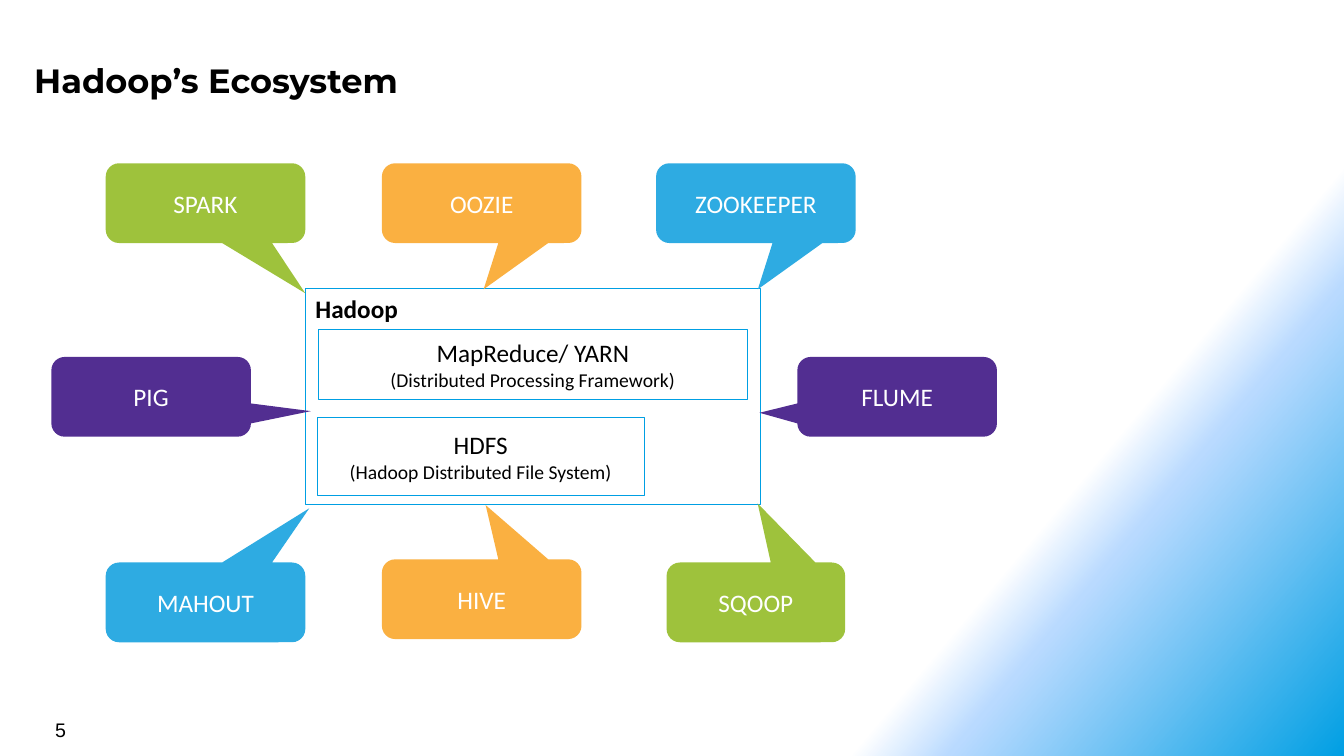
from lxml import etree
from pptx import Presentation
from pptx.dml.color import RGBColor
from pptx.enum import shapes, text
from pptx.oxml import ns
from pptx.util import Cm, Pt

BLACK = RGBColor(0x00, 0x00, 0x00)
WHITE = RGBColor(0xFF, 0xFF, 0xFF)
PALE = RGBColor(0xB9, 0xDA, 0xFF)
BLUE = RGBColor(0x00, 0x9F, 0xE3)
ORANGE = RGBColor(0xFA, 0xB0, 0x41)
GREEN = RGBColor(0x9E, 0xC2, 0x3C)
SKY = RGBColor(0x2E, 0xAB, 0xE2)
PURPLE = RGBColor(0x52, 0x2E, 0x91)

TITLE = "Hadoop’s Ecosystem"
NUMBER = "5"
STOPS = [(75, WHITE), (80, PALE), (100, BLUE)]
FRAME = ("Hadoop", (7.7, 7.26, 11.46, 5.46))
LAYERS = [
    ("HDFS", "(Hadoop Distributed File System)", (8, 10.52, 8.23, 1.96)),
    ("MapReduce/ YARN", "(Distributed Processing Framework)", (8.03, 8.31, 10.8, 1.75)),
]
WIDE, SLIM, TALL = 5.03, 4.5, 2.01
LEFT, MID, RIGHT = 5.18, 12.14, 19.05
TOP, CENTER, LOW = 5.12, 10, 15.18
TOOLS = [
    ("OOZIE", ORANGE, MID, TOP, WIDE, (0.01, 1.08)),
    ("SPARK", GREEN, LEFT, TOP, WIDE, (0.5, 1.13)),
    ("ZOOKEEPER", SKY, RIGHT, TOP, WIDE, (0.01, 1.08)),
    ("FLUME", PURPLE, 22.61, CENTER, WIDE, (-0.69, 0.2)),
    ("HIVE", ORANGE, MID, 15.1, WIDE, (0.02, -1.18)),
    ("SQOOP", GREEN, RIGHT, LOW, SLIM, (0.01, -1.24)),
    ("MAHOUT", SKY, LEFT, LOW, WIDE, (0.52, -1.18)),
    ("PIG", PURPLE, 3.81, CENTER, WIDE, (0.8, 0.18)),
]


def write(para, words, size, color=BLACK, bold=False, face="Calibri", align=text.PP_ALIGN.CENTER):
    """Add one styled run to a paragraph."""
    para.alignment = align
    run = para.add_run()
    run.text = words
    font = run.font
    font.name, font.size, font.bold = face, Pt(size), bold
    font.color.rgb = color


def shade(slide):
    """Fill the background with the slanted gradient."""
    fill = slide.background.fill
    fill.gradient()
    fill.gradient_angle = 320
    group = slide.background._cSld.find(".//" + ns.qn("a:gsLst"))
    for stop in list(group):
        group.remove(stop)
    for place, color in STOPS:
        stop = etree.SubElement(group, ns.qn("a:gs"), pos=str(place * 1000))
        etree.SubElement(stop, ns.qn("a:srgbClr"), val=str(color))


def draw(slide, kind, box, fill=None):
    """Add a filled shape, or an outlined one when no fill is given."""
    shape = slide.shapes.add_shape(kind, *map(Cm, box))
    shape.shadow.inherit = False
    if fill is None:
        shape.fill.background()
        shape.line.color.rgb = BLUE
        shape.line.width = Pt(0.5)
    else:
        shape.fill.solid()
        shape.fill.fore_color.rgb = fill
        shape.line.fill.background()
    shape.text_frame.word_wrap = True
    shape.text_frame.vertical_anchor = text.MSO_ANCHOR.MIDDLE
    return shape


def main():
    """Build the slide and save it."""
    deck = Presentation()
    deck.slide_width, deck.slide_height = Cm(33.87), Cm(19.05)
    slide = deck.slides.add_slide(deck.slide_layouts[5])
    shade(slide)

    title = slide.shapes.title
    title.left, title.top, title.width, title.height = map(Cm, (0.66, 1.3, 31.14, 1.4))
    frame = title.text_frame
    frame.margin_left = frame.margin_right = frame.margin_top = frame.margin_bottom = Cm(0.2)
    frame.vertical_anchor = text.MSO_ANCHOR.TOP
    write(frame.paragraphs[0], TITLE, 24, bold=True, face="Montserrat", align=text.PP_ALIGN.LEFT)

    page = slide.shapes.add_textbox(*map(Cm, (1.14, 17.96, 7.9, 0.84))).text_frame
    page.word_wrap = True
    write(page.paragraphs[0], NUMBER, 14, face="Arial", align=text.PP_ALIGN.LEFT)

    name, box = FRAME
    core = draw(slide, shapes.MSO_SHAPE.RECTANGLE, box).text_frame
    core.vertical_anchor = text.MSO_ANCHOR.TOP
    write(core.paragraphs[0], name, 18, bold=True, align=text.PP_ALIGN.LEFT)

    for name, note, box in LAYERS:
        layer = draw(slide, shapes.MSO_SHAPE.RECTANGLE, box).text_frame
        write(layer.paragraphs[0], name, 18)
        write(layer.add_paragraph(), note, 14)

    for name, color, x, y, width, tip in TOOLS:
        box = (x - width / 2, y - TALL / 2, width, TALL)
        tool = draw(slide, shapes.MSO_SHAPE.ROUNDED_RECTANGULAR_CALLOUT, box, color)
        tool.adjustments[0], tool.adjustments[1] = tip
        write(tool.text_frame.paragraphs[0], name, 18, WHITE)

    deck.save("out.pptx")


if __name__ == "__main__":
    main()
